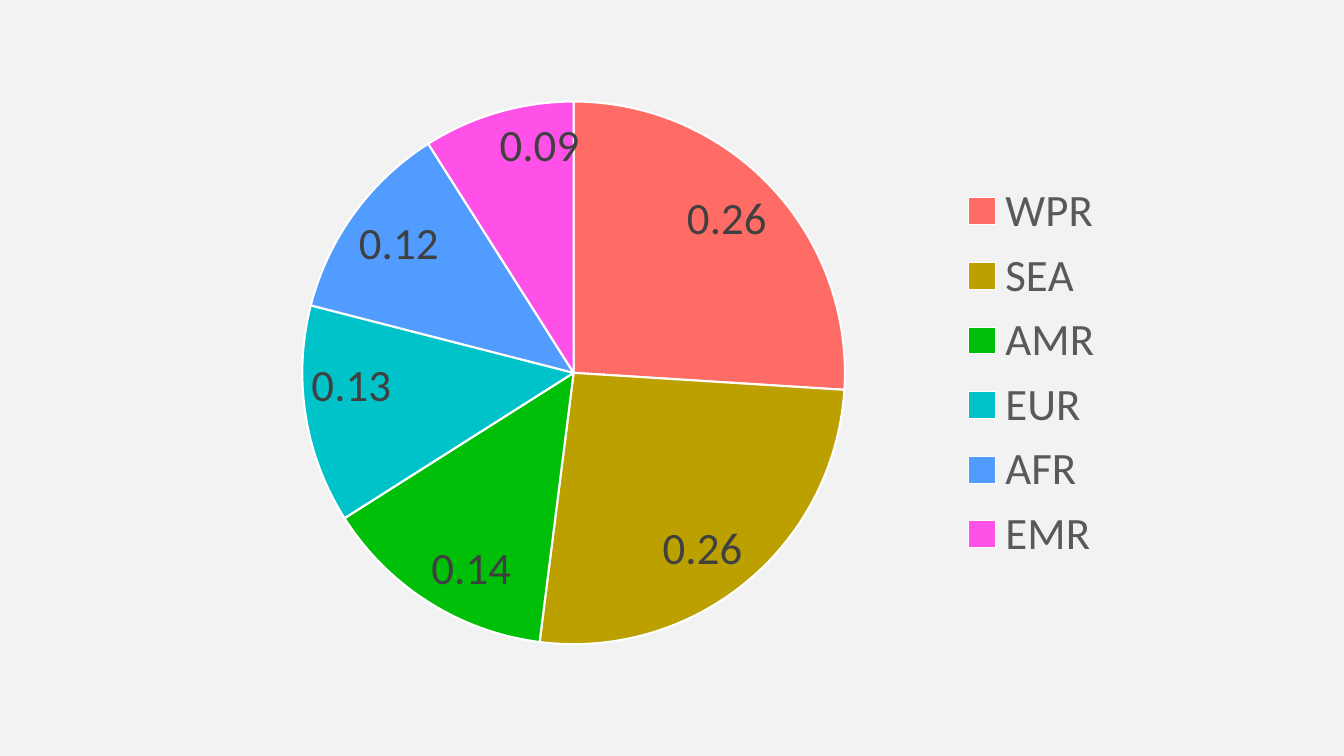
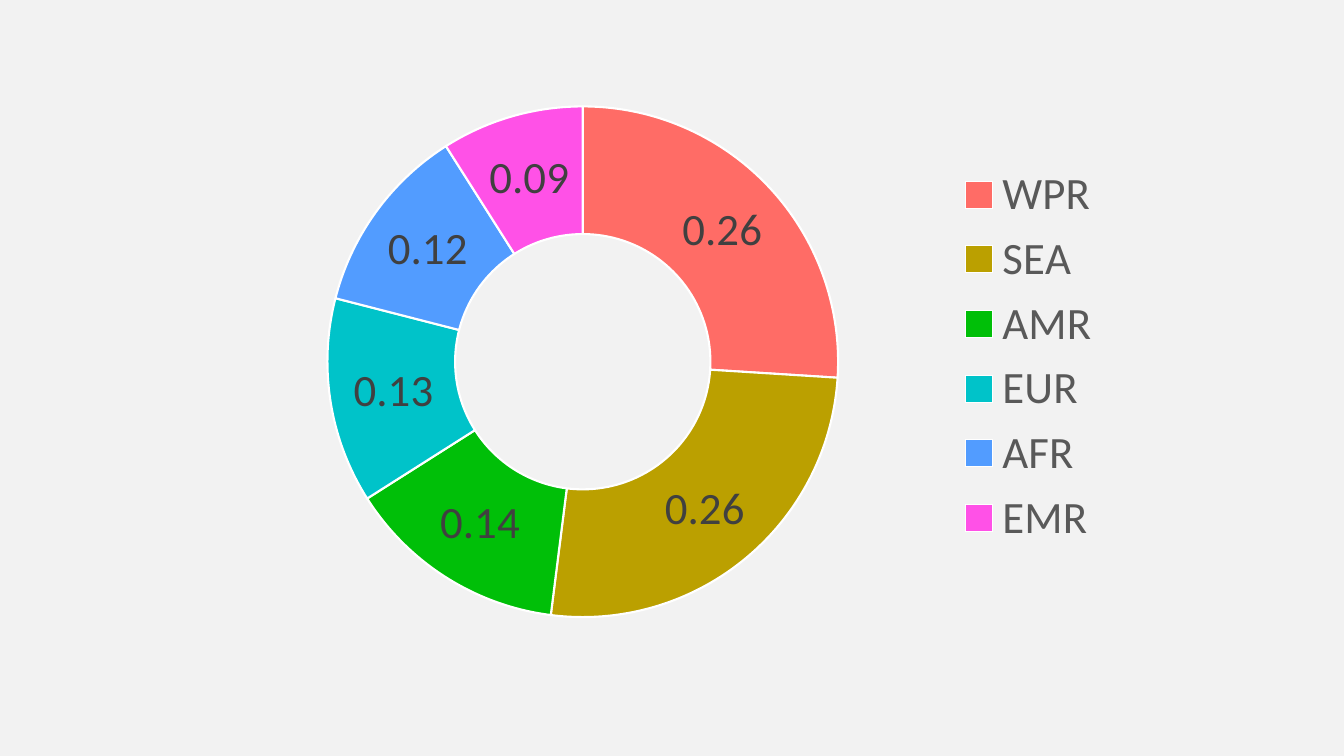
from lxml.etree import SubElement
from pptx import Presentation
from pptx.chart.data import CategoryChartData
from pptx.dml.color import RGBColor
from pptx.enum.chart import XL_CHART_TYPE as ChartType
from pptx.enum.chart import XL_LABEL_POSITION as LabelPosition
from pptx.enum.chart import XL_LEGEND_POSITION as LegendPosition
from pptx.oxml.ns import qn
from pptx.util import Pt

BACKGROUND = "F2F2F2"
BORDER = "FFFFFF"
REGIONS = [
    ("WPR", 0.26, "FF6C66"),
    ("SEA", 0.26, "BBA000"),
    ("AMR", 0.14, "00BF08"),
    ("EUR", 0.13, "00C3C9"),
    ("AFR", 0.12, "529CFF"),
    ("EMR", 0.09, "FF51E7"),
]
CHARTS = [
    (ChartType.PIE, (138.2, 62.6, 660.2, 407.5), LabelPosition.INSIDE_END, None),
    (ChartType.DOUGHNUT, (141.1, 60.5, 655.2, 388.1), None,
     {"x": 0.14, "y": 0.04, "w": 0.56, "h": 0.94}),
]


def color(value):
    return RGBColor.from_string(value)


def format_font(font, size, value):
    font.name = "Calibri"
    font.size = Pt(size)
    font.color.rgb = color(value)


presentation = Presentation()
presentation.slide_width = Pt(960)
presentation.slide_height = Pt(540)

for chart_type, bounds, label_position, plot_layout in CHARTS:
    slide = presentation.slides.add_slide(presentation.slide_layouts[6])
    slide.background.fill.solid()
    slide.background.fill.fore_color.rgb = color(BACKGROUND)

    chart_data = CategoryChartData(number_format="0.00")
    chart_data.categories = [name for name, share, fill in REGIONS]
    chart_data.add_series("Series 1", [share for name, share, fill in REGIONS])
    left, top, width, height = map(Pt, bounds)
    chart = slide.shapes.add_chart(chart_type, left, top, width, height, chart_data).chart
    format_font(chart.font, 10, "000000")
    chart.has_title = False

    chart.has_legend = True
    chart.legend.position = LegendPosition.RIGHT
    chart.legend.include_in_layout = False
    format_font(chart.legend.font, 32, "595959")

    plot = chart.plots[0]
    plot.vary_by_categories = True
    for index, (name, share, fill) in enumerate(REGIONS):
        slice_format = plot.series[0].points[index].format
        slice_format.fill.solid()
        slice_format.fill.fore_color.rgb = color(fill)
        slice_format.line.color.rgb = color(BORDER)
        slice_format.line.width = Pt(1.5)

    plot.has_data_labels = True
    labels = plot.data_labels
    format_font(labels.font, 32, "404040")
    labels.number_format = "0.00"
    labels.number_format_is_linked = False
    labels.show_value = True
    labels.show_percentage = False
    if label_position is not None:
        labels.position = label_position

    if plot_layout:
        plot_area = chart.element.find(".//" + qn("c:plotArea"))
        for layout in plot_area.findall(qn("c:layout")):
            plot_area.remove(layout)
        layout = SubElement(plot_area, qn("c:layout"))
        plot_area.insert(0, layout)
        manual = SubElement(layout, qn("c:manualLayout"))
        settings = {"layoutTarget": "inner", "xMode": "edge", "yMode": "edge", **plot_layout}
        for tag, value in settings.items():
            SubElement(manual, qn("c:" + tag)).set("val", str(value))

presentation.save("out.pptx")
